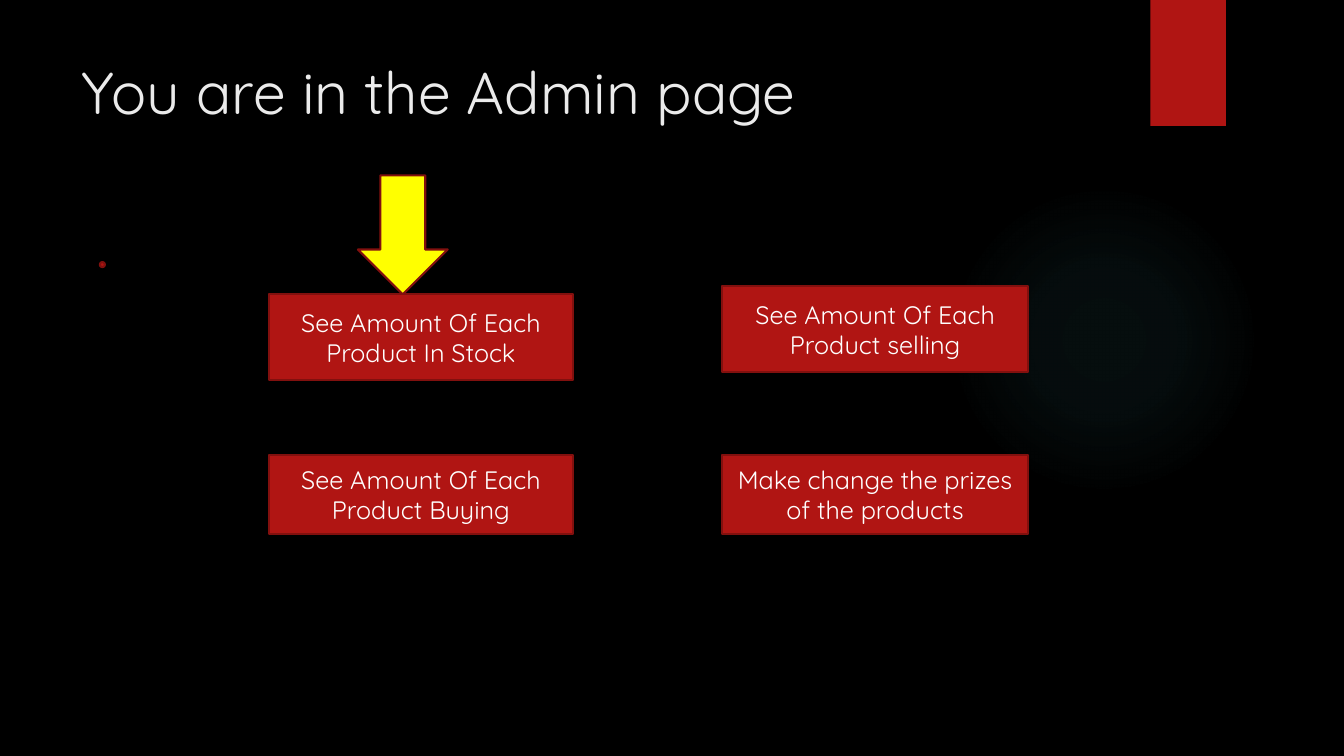
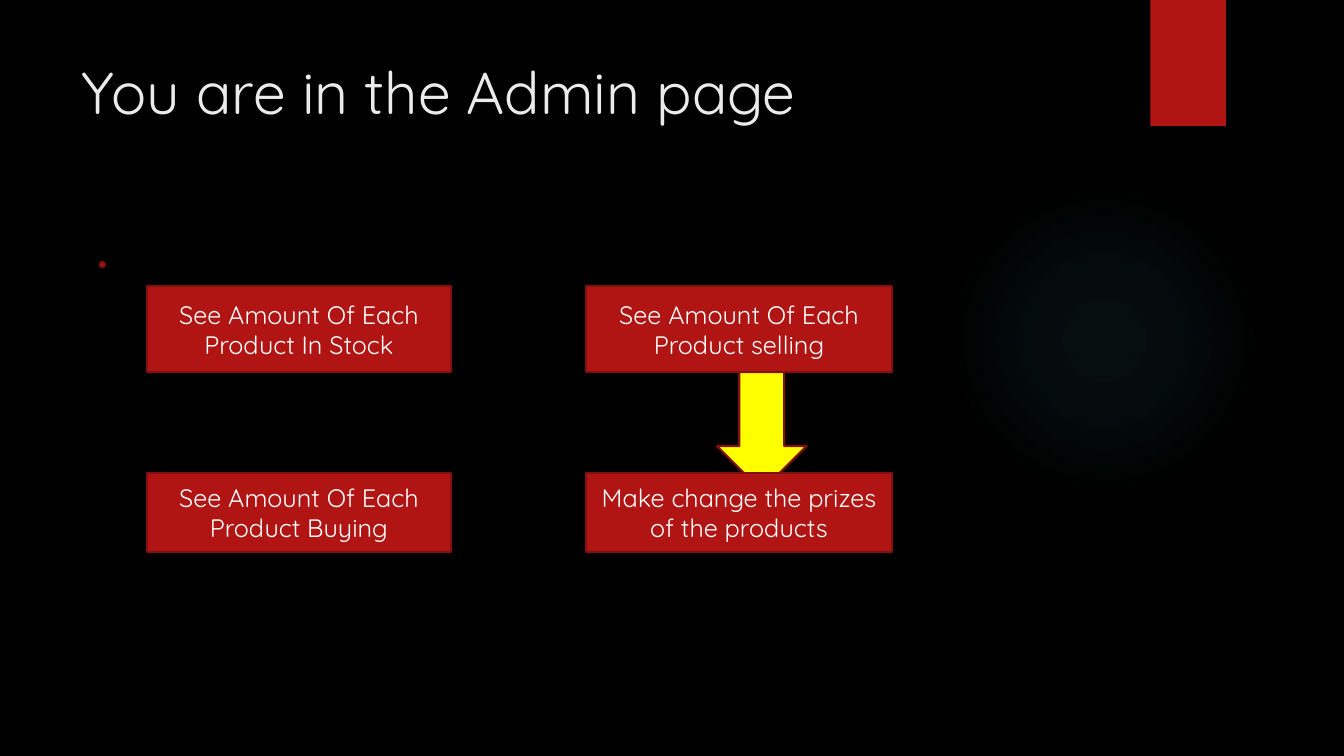
"""Build two admin page slides with option boxes and a pointing arrow."""
from pptx import Presentation
from pptx.dml.color import RGBColor
from pptx.enum.shapes import MSO_SHAPE
from pptx.enum.text import MSO_ANCHOR, PP_ALIGN
from pptx.oxml import parse_xml
from pptx.oxml.ns import nsdecls, qn
from pptx.util import Inches, Pt

RECT, OVAL, DOWN = MSO_SHAPE.RECTANGLE, MSO_SHAPE.OVAL, MSO_SHAPE.DOWN_ARROW
TOP, MIDDLE = MSO_ANCHOR.TOP, MSO_ANCHOR.MIDDLE
LEFT, CENTER = PP_ALIGN.LEFT, PP_ALIGN.CENTER

BLACK = RGBColor(0x00, 0x00, 0x00)
RED = RGBColor(0xB0, 0x15, 0x13)
DARK = RGBColor(0x82, 0x10, 0x0E)
YELLOW = RGBColor(0xFF, 0xFF, 0x00)
WHITE = RGBColor(0xFF, 0xFF, 0xFF)
PALE = RGBColor(0xEB, 0xEB, 0xEB)
TEAL = RGBColor(0x50, 0xB9, 0xC1)

FONT = "Quicksand"
TITLE = "You are in the Admin page"
LABELS = (
    "See Amount Of Each Product In Stock",
    "See Amount Of Each Product selling",
    "See Amount Of Each Product Buying",
    "Make change the prizes of the products",
)
WIDTHS = (3.01, 3.04)
HEIGHTS = (0.85, 0.79)
GLOW = ((0, 7), (36, 6), (69, 0))
PAGES = (
    {"lefts": (2.67, 7.16), "tops": (2.92, 2.84, 4.51, 4.51), "tip": (3.55, 1.74)},
    {"lefts": (1.46, 5.81), "tops": (2.84, 2.84, 4.69, 4.69), "tip": (7.11, 3.69)},
)


def write(shape, text, size=18, color=WHITE, align=CENTER, anchor=MIDDLE):
    frame = shape.text_frame
    frame.word_wrap = True
    frame.vertical_anchor = anchor
    para = frame.paragraphs[0]
    para.alignment = align
    run = para.add_run()
    run.text = text
    run.font.name = FONT
    run.font.size = Pt(size)
    run.font.color.rgb = color


def draw(slide, kind, at, fill=RED, line=DARK):
    shape = slide.shapes.add_shape(kind, *map(Inches, at))
    shape.shadow.inherit = False
    if fill is None:
        shape.fill.background()
    else:
        shape.fill.solid()
        shape.fill.fore_color.rgb = fill
    if line is None:
        shape.line.fill.background()
    else:
        shape.line.color.rgb = line
        shape.line.width = Pt(1.5)
    return shape


def add_glow(slide):
    shape = draw(slide, OVAL, (9.41, 1.83, 3.08, 3.08), fill=None, line=None)
    stops = "".join(
        f'<a:gs pos="{pos * 1000}"><a:srgbClr val="{TEAL}">'
        f'<a:alpha val="{alpha * 1000}"/></a:srgbClr></a:gs>'
        for pos, alpha in GLOW
    )
    grad = parse_xml(
        f'<a:gradFill {nsdecls("a")}><a:gsLst>{stops}</a:gsLst><a:path path="circle">'
        '<a:fillToRect l="50000" t="50000" r="50000" b="50000"/></a:path></a:gradFill>'
    )
    props = shape._element.spPr
    props.replace(props.find(qn("a:noFill")), grad)


def add_base(slide):
    add_glow(slide)
    draw(slide, RECT, (11.41, 0, 0.75, 1.25), line=None)
    title = slide.shapes.add_textbox(*map(Inches, (0.71, 0.5, 10.29, 1.53)))
    write(title, TITLE, size=42, color=PALE, align=LEFT, anchor=TOP)
    draw(slide, OVAL, (0.99, 2.6, 0.05, 0.05))


def add_boxes(slide, lefts, tops):
    for i, (label, top) in enumerate(zip(LABELS, tops)):
        row, col = divmod(i, 2)
        box = draw(slide, RECT, (lefts[col], top, WIDTHS[col], HEIGHTS[row]))
        write(box, label)


def main():
    prs = Presentation()
    prs.slide_width, prs.slide_height = Inches(13.33), Inches(7.5)
    back = prs.slide_master.background.fill
    back.solid()
    back.fore_color.rgb = BLACK
    for page in PAGES:
        slide = prs.slides.add_slide(prs.slide_layouts[6])
        add_base(slide)
        draw(slide, DOWN, (*page["tip"], 0.89, 1.18), fill=YELLOW)
        add_boxes(slide, page["lefts"], page["tops"])
    prs.save("out.pptx")


if __name__ == "__main__":
    main()
